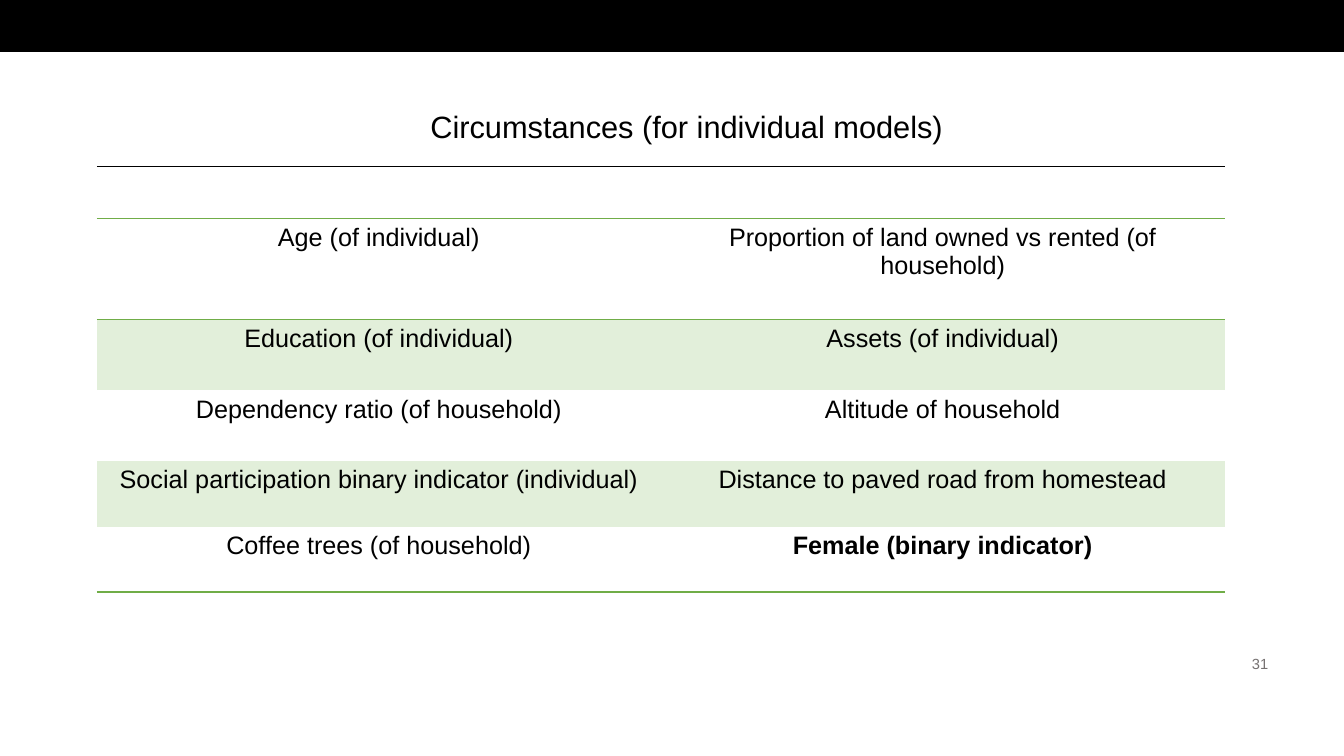
from lxml.etree import SubElement
from pptx import Presentation
from pptx.dml.color import RGBColor
from pptx.enum.shapes import MSO_CONNECTOR, MSO_SHAPE
from pptx.enum.text import MSO_ANCHOR, PP_ALIGN
from pptx.oxml.ns import qn
from pptx.util import Cm, Pt

BLACK, GREY, GREEN, PALE_GREEN = "000000", "767171", "70AD47", "E2EFDA"
LEFT, WIDTH = 2.44, 28.42
ROW_HEIGHTS = [2.55, 1.78, 1.78, 1.65, 1.65]
CIRCUMSTANCES = [
    ("Age (of individual)", "Proportion of land owned vs rented (of household)"),
    ("Education (of individual)", "Assets (of individual)"),
    ("Dependency ratio (of household)", "Altitude of household"),
    ("Social participation binary indicator (individual)",
     "Distance to paved road from homestead"),
    ("Coffee trees (of household)", "Female (binary indicator)"),
]
BOLD_TEXT = "Female (binary indicator)"


def rgb(color):
    return RGBColor.from_string(color)


def write(tf, text, align, color=BLACK, **font):
    p = tf.paragraphs[0]
    p.alignment = align
    r = p.add_run()
    r.text = text
    r.font.color.rgb = rgb(color)
    for name, value in {"name": "Arial", **font}.items():
        setattr(r.font, name, value)


def add_text(s, box, text, align, anchor=MSO_ANCHOR.TOP, **font):
    tf = s.shapes.add_textbox(*map(Cm, box)).text_frame
    tf.word_wrap = True
    tf.vertical_anchor = anchor
    write(tf, text, align, **font)


def add_band(s, width, height):
    sp = s.shapes.add_shape(MSO_SHAPE.RECTANGLE, 0, 0, width, height)
    sp.shadow.inherit = False
    sp.fill.solid()
    sp.fill.fore_color.rgb = rgb(BLACK)
    sp.line.color.rgb = rgb(BLACK)
    sp.line.width = Pt(1)


def add_rule(s, y):
    ln = s.shapes.add_connector(MSO_CONNECTOR.STRAIGHT, Cm(LEFT), Cm(y),
                                Cm(LEFT + WIDTH), Cm(y))
    ln.line.color.rgb = rgb(BLACK)
    ln.line.width = Pt(0.5)
    SubElement(ln._element.spPr, qn("a:effectLst"))


def set_borders(cell, green_sides):
    """Draw green lines on the given sides (letters of LRTB), none elsewhere."""
    tc_pr = cell._tc.get_or_add_tcPr()
    for side in "LRTB":
        ln = SubElement(tc_pr, qn(f"a:ln{side}"), w=str(Pt(1)))
        if side in green_sides:
            fill = SubElement(ln, qn("a:solidFill"))
            SubElement(fill, qn("a:srgbClr"), val=GREEN)
        else:
            SubElement(ln, qn("a:noFill"))


def add_circumstances(s, top):
    rows, cols = len(CIRCUMSTANCES), len(CIRCUMSTANCES[0])
    table = s.shapes.add_table(rows, cols, Cm(LEFT), Cm(top), Cm(WIDTH),
                               Cm(sum(ROW_HEIGHTS))).table
    table.first_row = table.horz_banding = False
    green_sides = {0: "TB", 1: "T", rows - 1: "B"}
    for i, texts in enumerate(CIRCUMSTANCES):
        table.rows[i].height = Cm(ROW_HEIGHTS[i])
        for j, text in enumerate(texts):
            cell = table.cell(i, j)
            set_borders(cell, green_sides.get(i, ""))
            if i % 2:
                cell.fill.solid()
                cell.fill.fore_color.rgb = rgb(PALE_GREEN)
            else:
                cell.fill.background()
            write(cell.text_frame, text, PP_ALIGN.CENTER,
                  size=Pt(18), bold=text == BOLD_TEXT)


def main():
    prs = Presentation()
    prs.slide_width, prs.slide_height = Cm(33.87), Cm(19.05)
    s = prs.slides.add_slide(prs.slide_layouts[6])
    add_band(s, prs.slide_width, Cm(1.3))
    add_rule(s, 4.19)
    add_text(s, (28.04, 16.38, 4.17, 0.69), "31", PP_ALIGN.RIGHT,
             MSO_ANCHOR.MIDDLE, color=GREY, size=Pt(10.5))
    add_text(s, (4.06, 2.59, 26.49, 1.19), "Circumstances (for individual models)",
             PP_ALIGN.CENTER, size=Pt(22))
    add_circumstances(s, 5.51)
    prs.save("out.pptx")


if __name__ == "__main__":
    main()
